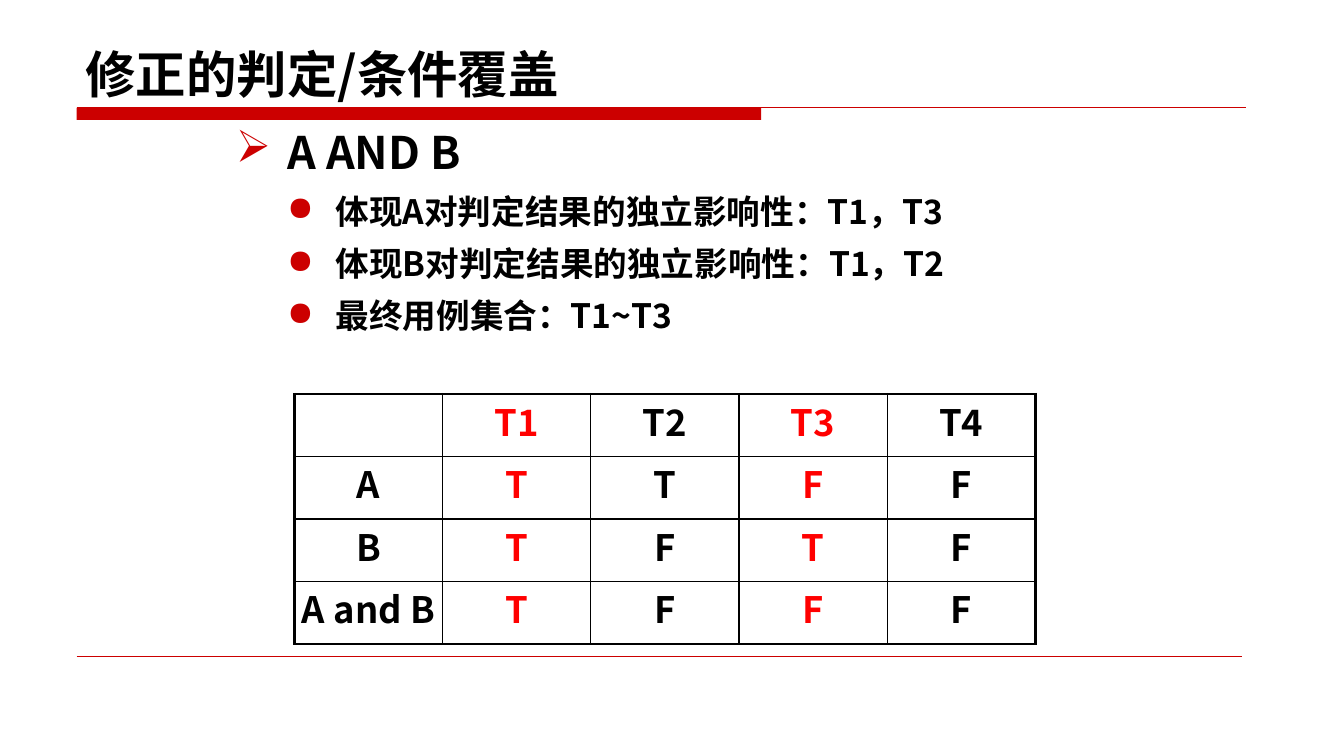
from pptx import Presentation, util as u
from pptx.dml.color import RGBColor
from pptx.enum import shapes, text
from pptx.oxml.ns import qn
from lxml import etree

# Content
TITLE = "修正的判定/条件覆盖"
HEAD = "A AND B"
NOTES = ["体现A对判定结果的独立影响性：T1，T3",
         "体现B对判定结果的独立影响性：T1，T2",
         "最终用例集合：T1~T3"]
GRID = [["", "T1", "T2", "T3", "T4"],
        ["A", "T", "T", "F", "F"],
        ["B", "T", "F", "T", "F"],
        ["A and B", "T", "F", "F", "F"]]
CHOSEN = (1, 3)  # columns of the final test set

FONT = "Noto Sans CJK SC"
BLACK, RED, BRIGHT = "000000", "CC0000", "FF0000"
LEFT, TOP, WIDE, BAR = 0.76, 1.07, 11.6, 6.79
COL, ROW = 1.47, 0.62

deck = Presentation()
deck.slide_width, deck.slide_height = u.Inches(13.33), u.Inches(7.5)
slide = deck.slides.add_slide(deck.slide_layouts[6])


def inch(*vals):
    return [u.Inches(v) for v in vals]


def tint(code):
    return RGBColor.from_string(code)


def node(parent, tag, **attrs):
    return etree.SubElement(parent, qn(tag), attrs)


def write(para, words, size, color=BLACK, align=None, mark=None,
          indent=0, hang=0, before=0, level=0):
    para.alignment, para.level = align, level
    para.space_before = u.Pt(before)
    run = para.add_run()
    run.text = words
    font = run.font
    font.size, font.bold, font.name = u.Pt(size), True, FONT
    font.color.rgb = tint(color)
    node(run._r.get_or_add_rPr(), "a:ea", typeface=FONT)
    if mark:
        props = para._p.get_or_add_pPr()
        props.set("marL", str(u.Inches(indent)))
        props.set("indent", str(-u.Inches(hang)))
        node(node(props, "a:buClr"), "a:srgbClr", val=RED)
        node(props, "a:buChar", char=mark)


def box(*area):
    frame = slide.shapes.add_textbox(*inch(*area)).text_frame
    frame.word_wrap = True
    return frame


def rule(x, y, width, weight):
    line = slide.shapes.add_connector(
        shapes.MSO_CONNECTOR.STRAIGHT, *inch(x, y, x + width, y))
    line.line.color.rgb, line.line.width = tint(RED), u.Pt(weight)
    node(line._element.spPr, "a:effectLst")


def border(cell, side, weight):
    line = node(cell._tc.get_or_add_tcPr(), "a:ln" + side,
                w=str(u.Pt(weight)))
    node(node(line, "a:solidFill"), "a:srgbClr", val=BLACK)


# Title bar and rules
bar = slide.shapes.add_shape(shapes.MSO_SHAPE.RECTANGLE,
                             *inch(LEFT, TOP, BAR, 0.12))
bar.shadow.inherit = False
bar.fill.solid()
bar.fill.fore_color.rgb = tint(RED)
bar.line.fill.background()
rule(LEFT, TOP, WIDE, 0.75)
rule(LEFT, 6.51, 11.56, 0.25)

# Title
frame = box(0.75, 0.29, 11.67, 0.79)
frame.vertical_anchor = text.MSO_ANCHOR.BOTTOM
write(frame.paragraphs[0], TITLE, 36)

# Bullets
frame = box(2.24, 0.99, 8.75, 4.67)
frame.margin_top = u.Inches(0.25)
both = text.PP_ALIGN.JUSTIFY
write(frame.paragraphs[0], HEAD, 32, align=both, mark="➢",
      indent=0.51, hang=0.51)
for note in NOTES:
    write(frame.add_paragraph(), note, 24, align=both, mark="●",
          indent=0.99, hang=0.48, before=8.5, level=1)

# Truth table
rows, cols = len(GRID), len(GRID[0])
table = slide.shapes.add_table(
    rows, cols, *inch(2.92, 3.91, cols * COL, rows * ROW)).table
table.first_row = table.horz_banding = False
for col in table.columns:
    col.width = u.Inches(COL)
for r, line in enumerate(GRID):
    table.rows[r].height = u.Inches(ROW)
    for c, words in enumerate(line):
        cell = table.cell(r, c)
        cell.margin_left = cell.margin_right = 0
        cell.margin_top = cell.margin_bottom = 0
        if words:
            write(cell.text_frame.paragraphs[0], words, 26,
                  BRIGHT if c in CHOSEN else BLACK,
                  align=text.PP_ALIGN.CENTER)
        outer = {"L": c == 0, "R": c == cols - 1,
                 "T": r == 0, "B": r == rows - 1}
        for side, edge in outer.items():
            border(cell, side, 2.25 if edge else 1)
        cell.fill.background()

deck.save("out.pptx")
